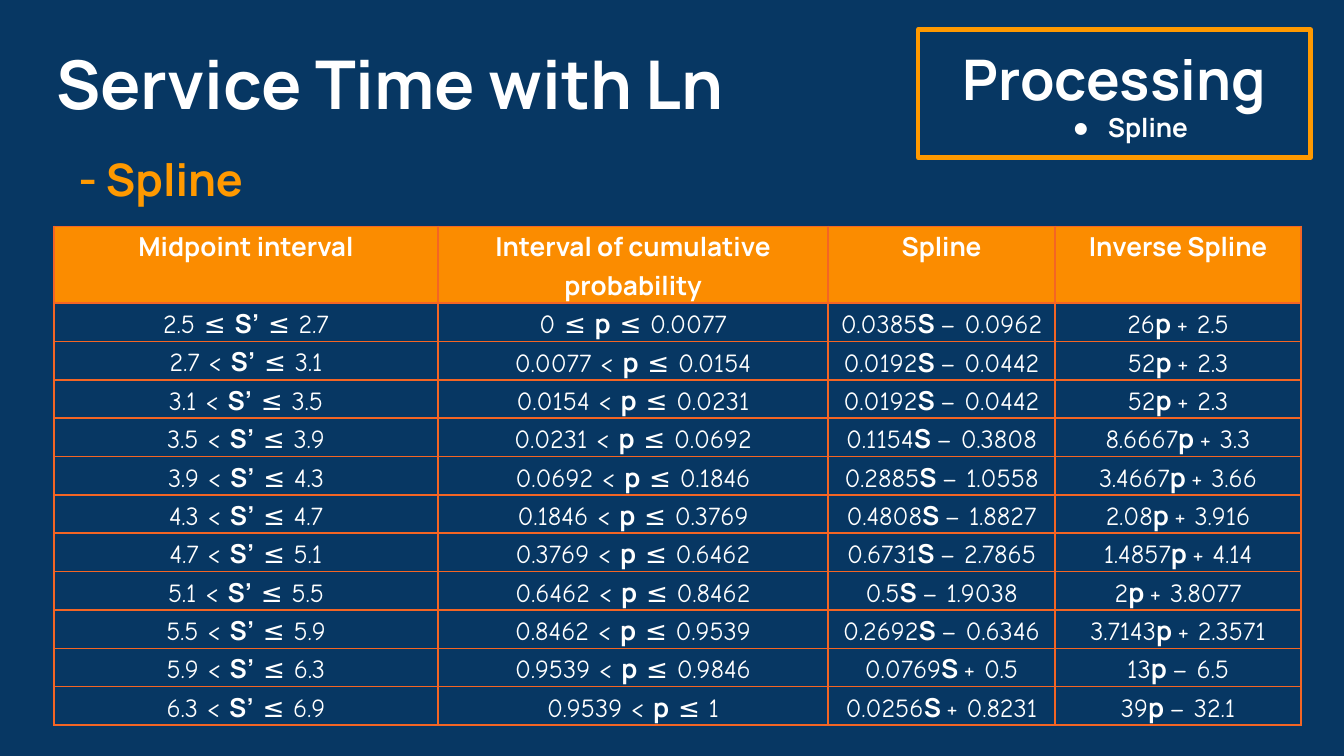
from dataclasses import dataclass
from itertools import pairwise

from lxml.etree import SubElement
from pptx import Presentation
from pptx.dml.color import RGBColor
from pptx.enum.shapes import MSO_SHAPE
from pptx.enum.text import MSO_ANCHOR, PP_ALIGN
from pptx.oxml.ns import qn
from pptx.util import Cm, Length, Pt

NAVY = RGBColor(0x07, 0x37, 0x63)
WHITE = RGBColor(0xFF, 0xFF, 0xFF)
AMBER = RGBColor(0xFF, 0x99, 0x00)
HEADER_ORANGE = RGBColor(0xFB, 0x8C, 0x00)
GRID_ORANGE = RGBColor(0xF4, 0x65, 0x24)
HEADING_FONT = "Manrope"
NUMBER_FONT = "Comic Neue"
HEADER_HEIGHT = Cm(1.45)
ROW_HEIGHT = Cm(0.725)


@dataclass(frozen=True)
class Column:
    title: str
    width: Length
    symbol: str
    side_margin: Length
    line_spacing: float
    anchor: MSO_ANCHOR


@dataclass(frozen=True)
class Heading:
    text: str
    left: Length
    top: Length
    width: Length
    height: Length
    size: int
    color: RGBColor
    anchor: MSO_ANCHOR


COLUMNS = [
    Column("Midpoint interval", Cm(7.26), "S’", Cm(0.2), 1.07, MSO_ANCHOR.TOP),
    Column("Interval of cumulative\nprobability", Cm(7.37), "p", Cm(0.2), 1.07,
           MSO_ANCHOR.BOTTOM),
    Column("Spline", Cm(4.29), "S ", Cm(0.03), 1.0, MSO_ANCHOR.BOTTOM),
    Column("Inverse Spline", Cm(4.65), "p ", Cm(0.03), 1.0, MSO_ANCHOR.BOTTOM),
]
HEADINGS = [
    Heading("Service Time with Ln", Cm(0.81), Cm(0), Cm(16.54), Cm(3.12), 36,
            WHITE, MSO_ANCHOR.MIDDLE),
    Heading("- Spline", Cm(1.03), Cm(2.62), Cm(17.5), Cm(1.35), 24,
            AMBER, MSO_ANCHOR.TOP),
]
MIDPOINTS = ["2.5", "2.7", "3.1", "3.5", "3.9", "4.3", "4.7", "5.1", "5.5",
             "5.9", "6.3", "6.9"]
PROBABILITIES = ["0", "0.0077", "0.0154", "0.0231", "0.0692", "0.1846", "0.3769",
                 "0.6462", "0.8462", "0.9539", "0.9846", "1"]
SPLINES = [
    ("0.0385S – 0.0962", "26p + 2.5"),
    ("0.0192S – 0.0442", "52p + 2.3"),
    ("0.0192S – 0.0442", "52p + 2.3"),
    ("0.1154S – 0.3808", "8.6667p + 3.3"),
    ("0.2885S – 1.0558", "3.4667p + 3.66"),
    ("0.4808S – 1.8827", "2.08p + 3.916"),
    ("0.6731S – 2.7865", "1.4857p + 4.14"),
    ("0.5S – 1.9038", "2p + 3.8077"),
    ("0.2692S – 0.6346", "3.7143p + 2.3571"),
    ("0.0769S + 0.5", "13p – 6.5"),
    ("0.0256S + 0.8231", "39p – 32.1"),
]


def interval_rows() -> list[tuple[str, ...]]:
    rows = []
    spans = zip(pairwise(MIDPOINTS), pairwise(PROBABILITIES), SPLINES)
    for index, ((start, end), (low, high), formulas) in enumerate(spans):
        sign = "<" if index else "≤"
        if index == len(SPLINES) - 1:
            low = PROBABILITIES[-3]
        rows.append((f"{start} {sign} S’ ≤ {end}", f"{low} {sign} p ≤ {high}", *formulas))
    return rows


def style_span(span, size: float, color: RGBColor = WHITE,
               name: str = HEADING_FONT, bold: bool = True) -> None:
    span.font.size = Pt(size)
    span.font.name = name
    span.font.bold = bold
    span.font.color.rgb = color


def style_para(para, size: float, color: RGBColor = WHITE) -> None:
    for span in para.runs:
        style_span(span, size, color)


def set_margins(frame, margin: Length) -> None:
    frame.margin_left = frame.margin_right = margin
    frame.margin_top = frame.margin_bottom = margin
    frame.word_wrap = True


def add_heading(page, heading: Heading):
    box = page.shapes.add_textbox(heading.left, heading.top, heading.width, heading.height)
    frame = box.text_frame
    set_margins(frame, Cm(0.25))
    frame.vertical_anchor = heading.anchor
    frame.text = heading.text
    style_para(frame.paragraphs[0], heading.size, heading.color)
    return box


def set_borders(cell) -> None:
    properties = cell._tc.get_or_add_tcPr()
    for index, side in enumerate(("a:lnL", "a:lnR", "a:lnT", "a:lnB")):
        line = SubElement(properties, qn(side), w=str(Pt(1)))
        fill = SubElement(line, qn("a:solidFill"))
        SubElement(fill, qn("a:srgbClr"), val=str(GRID_ORANGE))
        properties.insert(index, line)


def prepare_cell(cell, column: Column):
    set_borders(cell)
    cell.margin_left = cell.margin_right = column.side_margin
    cell.margin_top = cell.margin_bottom = Cm(0)
    para = cell.text_frame.paragraphs[0]
    para.alignment = PP_ALIGN.CENTER
    para.line_spacing = column.line_spacing
    return para


def fill_header(cell, column: Column) -> None:
    para = prepare_cell(cell, column)
    cell.margin_left = cell.margin_right = Cm(0.2)
    cell.fill.solid()
    cell.fill.fore_color.rgb = HEADER_ORANGE
    para.line_spacing = 1.07
    para.text = column.title
    style_para(para, 14)


def fill_formula(cell, column: Column, formula: str) -> None:
    para = prepare_cell(cell, column)
    cell.fill.background()
    cell.vertical_anchor = column.anchor
    for part in formula.partition(column.symbol):
        span = para.add_run()
        span.text = part
        bold = part == column.symbol
        style_span(span, 14, name=HEADING_FONT if bold else NUMBER_FONT, bold=bold)


def add_spline_table(page) -> None:
    rows = interval_rows()
    width = Length(sum(column.width for column in COLUMNS))
    height = Length(HEADER_HEIGHT + len(rows) * ROW_HEIGHT)
    table = page.shapes.add_table(len(rows) + 1, len(COLUMNS), Cm(1.02), Cm(4.28),
                                  width, height).table
    table.horz_banding = False
    for row in table.rows:
        row.height = ROW_HEIGHT
    table.rows[0].height = HEADER_HEIGHT
    for x, column in enumerate(COLUMNS):
        table.columns[x].width = column.width
        fill_header(table.cell(0, x), column)
        for y, formulas in enumerate(rows, start=1):
            fill_formula(table.cell(y, x), column, formulas[x])


def add_processing_box(page) -> None:
    box = page.shapes.add_shape(MSO_SHAPE.RECTANGLE, Cm(17.35), Cm(0.56), Cm(7.42), Cm(2.42))
    box.shadow.inherit = False
    box.fill.background()
    box.line.color.rgb = AMBER
    box.line.width = Pt(2.25)
    frame = box.text_frame
    set_margins(frame, Cm(0.25))
    frame.vertical_anchor = MSO_ANCHOR.MIDDLE
    frame.text = "Processing\nSpline"
    for para, size in zip(frame.paragraphs, (30, 14)):
        para.alignment = PP_ALIGN.CENTER
        style_para(para, size)
    properties = frame.paragraphs[1]._p.get_or_add_pPr()
    properties.set("marL", str(Cm(1.27)))
    properties.set("indent", str(-Cm(0.64)))
    SubElement(SubElement(properties, qn("a:buClr")), qn("a:srgbClr"), val=str(WHITE))
    SubElement(properties, qn("a:buSzPct"), val="60000")
    SubElement(properties, qn("a:buFont"), typeface=HEADING_FONT)
    SubElement(properties, qn("a:buChar"), char="●")


def main() -> None:
    deck = Presentation()
    deck.slide_width, deck.slide_height = Cm(25.4), Cm(14.29)
    page = deck.slides.add_slide(deck.slide_layouts[6])
    page.background.fill.solid()
    page.background.fill.fore_color.rgb = NAVY
    boxes = [add_heading(page, heading) for heading in HEADINGS]
    boxes[1].text_frame.paragraphs[0]._p.get_or_add_pPr().set("marL", str(Cm(0.2)))
    add_spline_table(page)
    add_processing_box(page)
    deck.save("out.pptx")


if __name__ == "__main__":
    main()
